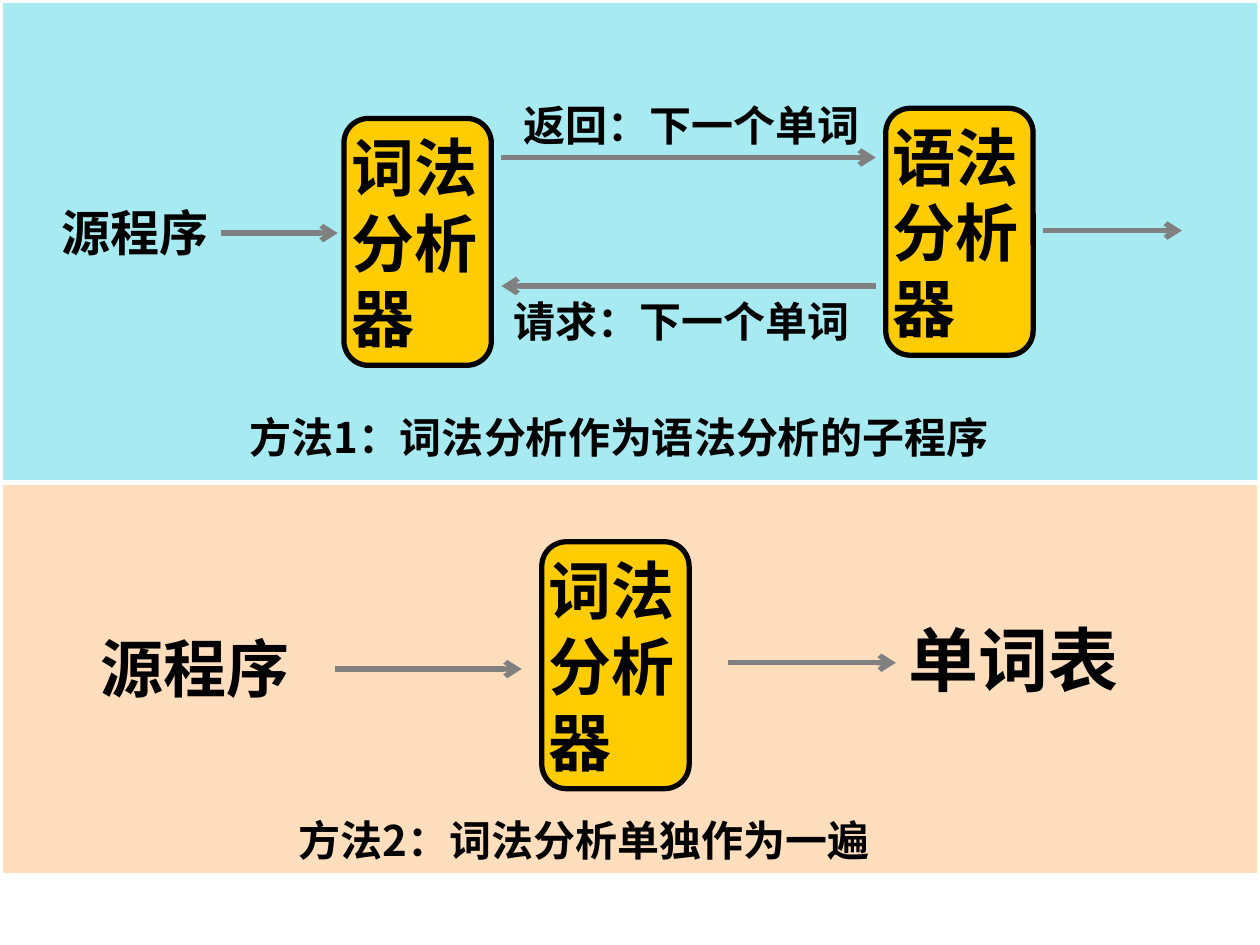
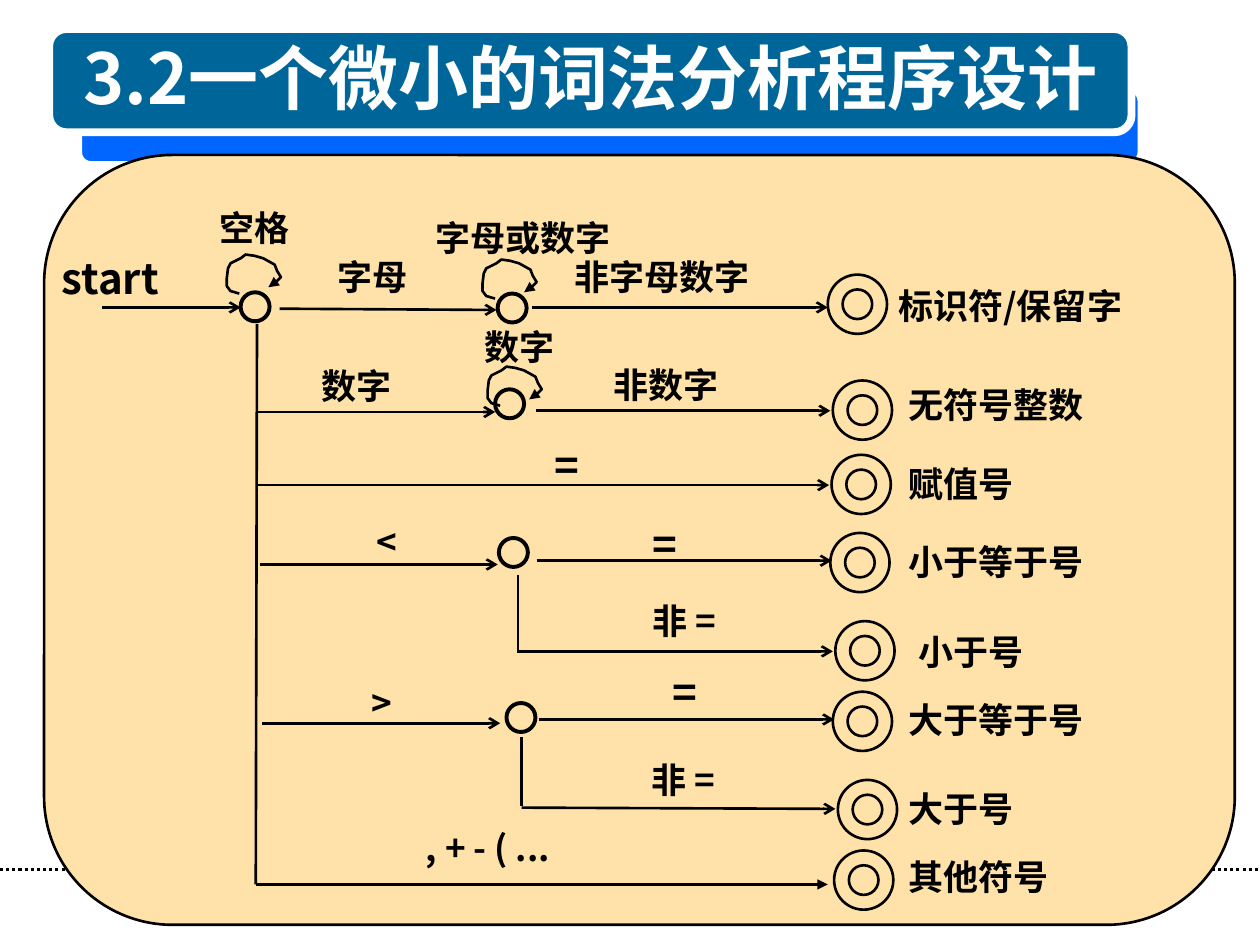
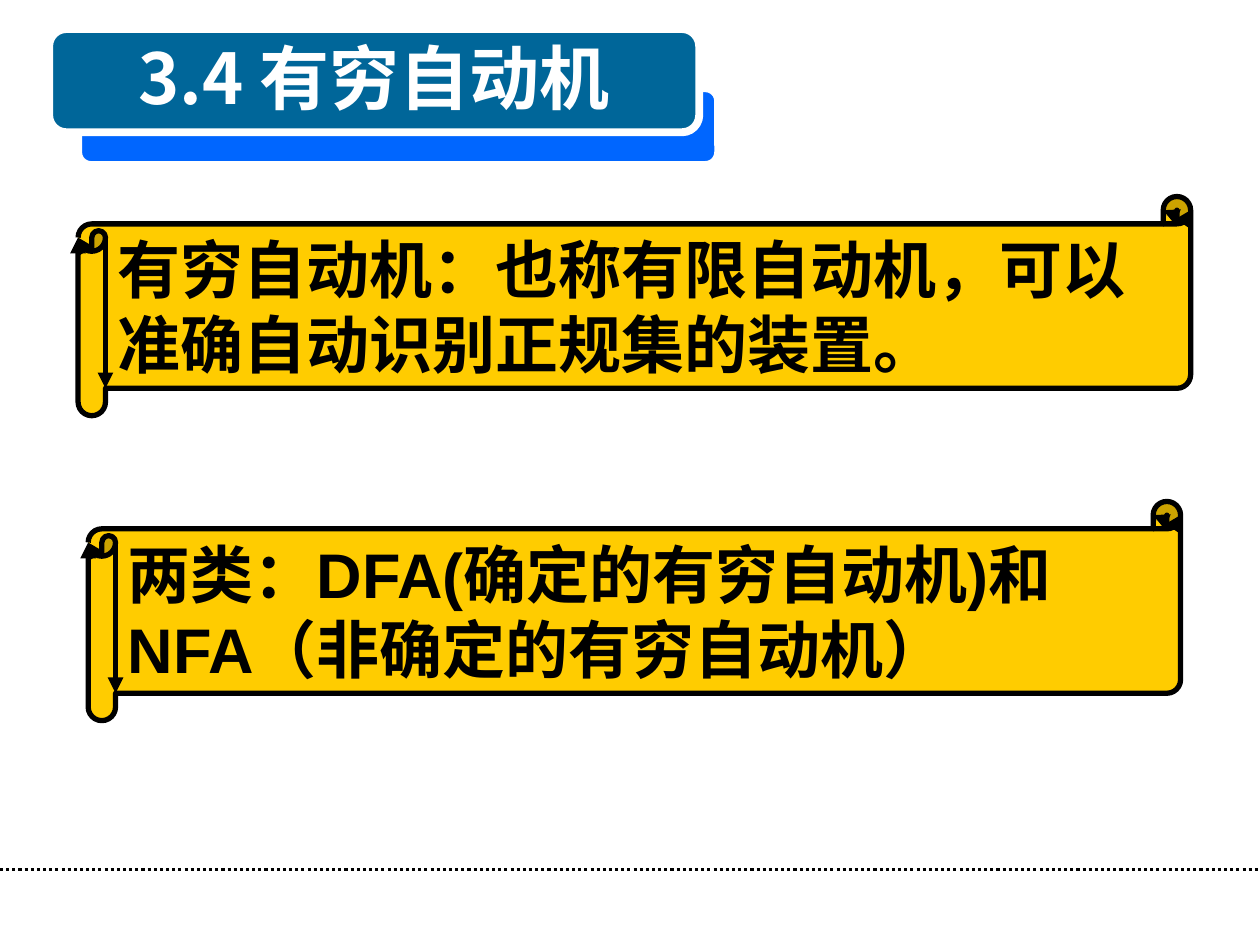
from dataclasses import dataclass

from lxml import etree
from pptx import Presentation
from pptx import util as u
from pptx.dml.color import RGBColor
from pptx.enum import dml, shapes, text as txt
from pptx.oxml.ns import qn

PX = u.Inches(1) // 100
SHAPE = shapes.MSO_SHAPE


@dataclass(frozen=True)
class Theme:
    ink: str = "000000"
    paper: str = "FFFFFF"
    arrow: str = "808080"
    box: str = "FFCC00"
    title: str = "006699"
    title_shadow: str = "0066FF"
    method_one: str = "A7EAF1"
    method_two: str = "FFDEBE"
    panel: str = "FFE2AA"
    latin: str = "Arial"
    chinese: str = "Noto Sans CJK SC"
    small: int = 20
    medium: int = 24
    large: int = 28
    body: int = 36
    heading: int = 40
    thin: float = 1.5
    dotted: float = 1.75
    ring: float = 2.25
    thick: float = 3
    title_edge: float = 4.5


# Self-loop of a state, relative to its top left corner
LOOP = [(10, 31), (3, 29), (0, 25), (0, 19), (1, 11), (3, 7), (11, 3), (15, 0),
        (22, 1), (29, 3), (38, 8), (40, 13), (43, 18), (40, 21), (36, 24), (33, 26)]
STATE_SIZE = 23
FINAL_SIZE = 47


class Painter:
    def __init__(self, theme):
        self.theme = theme
        self.deck = Presentation()
        self.deck.slide_width = 1000 * PX
        self.deck.slide_height = 750 * PX
        self.page = None

    def new_page(self):
        self.page = self.deck.slides.add_slide(self.deck.slide_layouts[6])

    def stroke(self, item, color, width, arrow=None):
        """Style an outline; arrow names the head at its end."""
        item.line.color.rgb = RGBColor.from_string(color)
        item.line.width = u.Pt(width)
        if arrow:
            outline = item._element.spPr.find(qn("a:ln"))
            etree.SubElement(outline, qn("a:tailEnd"), type=arrow)

    def set_text(self, box, content, *, size, font=None, color=None, align=None,
                 spacing=None, anchor=txt.MSO_ANCHOR.TOP, inset=None, grow=True):
        frame = box.text_frame
        frame.word_wrap = True
        frame.vertical_anchor = anchor
        if grow:
            frame.auto_size = txt.MSO_AUTO_SIZE.SHAPE_TO_FIT_TEXT
        if inset is not None:
            frame.margin_left = frame.margin_right = inset * PX
            frame.margin_top = frame.margin_bottom = inset * PX
        para = frame.paragraphs[0]
        para.alignment = align or txt.PP_ALIGN.LEFT
        if spacing:
            para.line_spacing = spacing
        span = para.add_run()
        span.text = content
        span.font.name = font or self.theme.chinese
        span.font.size = u.Pt(size)
        span.font.bold = True
        span.font.color.rgb = RGBColor.from_string(color or self.theme.ink)
        properties = span._r.get_or_add_rPr()
        etree.SubElement(properties, qn("a:ea"), typeface=self.theme.chinese)

    def label(self, left, top, width, content, size=None):
        size = size or self.theme.small
        box = self.page.shapes.add_textbox(left * PX, top * PX, width * PX, (size + 10) * PX)
        self.set_text(box, content, size=size, spacing=0.6)

    def shape(self, kind, left, top, width, height, fill=None, edge=None,
              weight=None, arrow=None):
        item = self.page.shapes.add_shape(kind, left * PX, top * PX, width * PX, height * PX)
        item.shadow.inherit = False
        if fill:
            item.fill.solid()
            item.fill.fore_color.rgb = RGBColor.from_string(fill)
        else:
            item.fill.background()
        self.stroke(item, edge or self.theme.ink, weight or self.theme.thin, arrow)
        return item

    def line(self, x1, y1, x2, y2, color=None, weight=None, arrow=None, dash=None):
        item = self.page.shapes.add_connector(
            shapes.MSO_CONNECTOR.STRAIGHT, x1 * PX, y1 * PX, x2 * PX, y2 * PX)
        if dash:
            item.line.dash_style = dash
        self.stroke(item, color or self.theme.ink, weight or self.theme.thin, arrow)
        etree.SubElement(item._element.spPr, qn("a:effectLst"))

    def flow(self, x1, y1, x2, y2):
        self.line(x1, y1, x2, y2, self.theme.arrow, self.theme.thick, "arrow")

    def band(self, top, height, fill):
        self.shape(SHAPE.RECTANGLE, 0, top, 1000, height, fill,
                   self.theme.paper, self.theme.thick)

    def analyzer(self, left, top, content):
        box = self.shape(SHAPE.ROUNDED_RECTANGLE, left, top, 117, 196,
                         self.theme.box, weight=self.theme.thick)
        self.set_text(box, content, size=self.theme.body, font=self.theme.latin,
                      anchor=txt.MSO_ANCHOR.MIDDLE, inset=0, grow=False)

    def heading(self, content, width, shadow_width):
        """Title plate over its shadow, with the dotted footer rule."""
        theme = self.theme
        self.line(0, 690, 1000, 690, weight=theme.dotted, dash=dml.MSO_LINE.ROUND_DOT)
        self.shape(SHAPE.ROUNDED_RECTANGLE, 62, 70, shadow_width, 61,
                   theme.title_shadow, theme.paper, theme.title_edge)
        plate = self.shape(SHAPE.ROUNDED_RECTANGLE, 39, 23, width, 82,
                           theme.title, theme.paper, theme.title_edge)
        self.set_text(plate, content, size=theme.heading, color=theme.paper, spacing=0.95,
                      align=txt.PP_ALIGN.CENTER, anchor=txt.MSO_ANCHOR.MIDDLE)

    def scroll(self, left, top, width, content):
        box = self.shape(SHAPE.HORIZONTAL_SCROLL, left, top, width, 174,
                         self.theme.box, weight=self.theme.thick, arrow="triangle")
        self.set_text(box, content, size=self.theme.body, font=self.theme.latin)

    def state(self, left, top):
        self.shape(SHAPE.OVAL, left, top, STATE_SIZE, STATE_SIZE, weight=self.theme.ring)

    def final_state(self, left, top):
        self.shape(SHAPE.DONUT, left, top, FINAL_SIZE, FINAL_SIZE)

    def self_loop(self, left, top):
        points = [(left + x, top + y) for x, y in LOOP]
        outline = self.page.shapes.build_freeform(*points[0], scale=PX)
        outline.add_line_segments(points[1:], close=False)
        item = outline.convert_to_shape()
        item.shadow.inherit = False
        item.fill.background()
        self.stroke(item, self.theme.ink, self.theme.thin, "triangle")


def methods_page(painter):
    theme = painter.theme
    painter.new_page()
    painter.band(0, 383, theme.method_one)
    painter.band(383, 312, theme.method_two)
    for left, top, content in [(273, 94, "词法分析器"), (703, 86, "语法分析器"),
                               (430, 430, "词法分析器")]:
        painter.analyzer(left, top, content)
    for left, top, width, content, size in [
        (39, 172, 141, "源程序", theme.large),
        (406, 88, 289, "返回：下一个单词", theme.medium),
        (398, 244, 289, "请求：下一个单词", theme.medium),
        (188, 336, 656, "方法1：词法分析作为语法分析的子程序", theme.medium),
        (70, 516, 187, "源程序", theme.body),
        (711, 508, 195, "单词表", theme.heading),
        (227, 656, 539, "方法2：词法分析单独作为一遍", theme.medium),
    ]:
        painter.label(left, top, width, content, size)
    for ends in [(175, 185, 268, 185), (398, 125, 695, 125), (695, 227, 398, 227),
                 (828, 183, 938, 183), (266, 531, 414, 531), (578, 526, 711, 526)]:
        painter.flow(*ends)


def scanner_page(painter):
    theme = painter.theme
    painter.new_page()
    painter.heading("3.2一个微小的词法分析程序设计", 859, 844)
    painter.shape(SHAPE.ROUNDED_RECTANGLE, 35, 123, 945, 611, theme.panel)

    for left, top in [(191, 232), (395, 233), (393, 309), (396, 427), (402, 558)]:
        painter.state(left, top)
    for left, top in [(180, 202), (383, 206), (387, 291)]:
        painter.self_loop(left, top)

    # Final state left and top, then its label left, top, width and text
    for left, top, *caption in [
        (657, 218, 703, 233, 250, "标识符/保留字"),
        (661, 302, 711, 311, 203, "无符号整数"),
        (660, 361, 711, 374, 172, "赋值号"),
        (659, 423, 711, 436, 203, "小于等于号"),
        (663, 493, 719, 507, 125, "小于号"),
        (661, 549, 711, 561, 195, "大于等于号"),
        (665, 619, 711, 632, 156, "大于号"),
        (662, 675, 711, 686, 188, "其他符号"),
    ]:
        painter.final_state(left, top)
        painter.label(*caption)

    for ends in [(204, 257, 203, 702), (411, 456, 411, 518), (414, 585, 414, 640)]:
        painter.line(*ends)
    for ends in [
        (81, 244, 191, 244), (222, 245, 394, 246), (422, 244, 657, 244),
        (203, 327, 393, 327), (425, 326, 659, 326), (203, 385, 658, 385),
        (206, 448, 395, 448), (426, 445, 660, 445), (412, 517, 661, 517),
        (208, 574, 397, 574), (428, 571, 662, 571), (414, 641, 663, 642),
    ]:
        painter.line(*ends, arrow="arrow")
    painter.line(203, 702, 657, 702, arrow="triangle")

    for caption in [
        (164, 171, 86, "空格"), (336, 179, 164, "字母或数字"),
        (258, 210, 102, "字母"), (446, 210, 172, "非字母数字"),
        (375, 265, 78, "数字"), (245, 296, 102, "数字"), (477, 295, 133, "非数字"),
        (289, 420, 55, "<"), (508, 483, 94, "非 ="),
        (285, 548, 63, ">"), (507, 609, 94, "非 ="), (328, 663, 211, ", + - ( ..."),
    ]:
        painter.label(*caption)
    for caption in [(39, 210, 109, "start"), (430, 358, 55, "="),
                    (508, 421, 55, "="), (524, 538, 55, "=")]:
        painter.label(*caption, size=theme.medium)


def automata_page(painter):
    painter.new_page()
    painter.heading("3.4 有穷自动机", 516, 508)
    painter.scroll(62, 156, 883, "有穷自动机：也称有限自动机，可以准确自动识别正规集的装置。")
    painter.scroll(70, 398, 867, "两类：DFA(确定的有穷自动机)和NFA（非确定的有穷自动机）")


def main():
    painter = Painter(Theme())
    methods_page(painter)
    scanner_page(painter)
    automata_page(painter)
    painter.deck.save("out.pptx")


if __name__ == "__main__":
    main()
